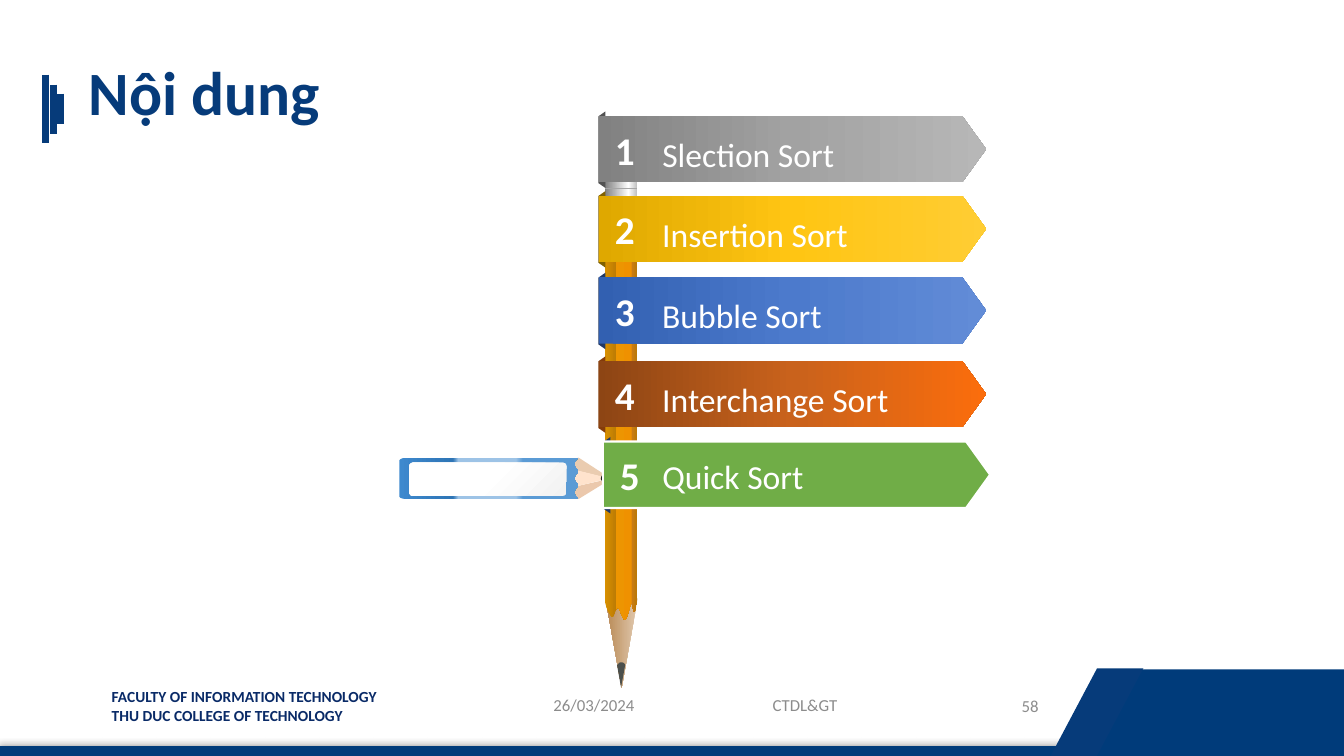
"""Build a contents slide with five sorting topics hung on a pencil."""
from dataclasses import dataclass

from lxml.etree import SubElement
from pptx import Presentation
from pptx.dml.color import RGBColor
from pptx.enum.shapes import MSO_CONNECTOR as Link, MSO_SHAPE as Kind
from pptx.enum.text import MSO_ANCHOR as Anchor, MSO_AUTO_SIZE as Auto, PP_ALIGN as Align
from pptx.oxml.ns import qn
from pptx.util import Inches, Pt

NAVY, GREY, WHITE = "063B7A", "8C8C8C", "FFFFFF"
Stops = list[tuple[int, str]]
Path = list[tuple[float, ...]]


@dataclass
class Topic:
    name: str
    top: float
    width: float
    fold: str
    fill: str | Stops
    left: float = 5.94
    edge: str | None = None
    num: float = 6
    drop: float = 0.13


TOPICS = [
    Topic("Slection Sort", 1.15, 1.92, "525252", [(0, "818181"), (50, "A2A2A2"), (100, "B7B7B7")]),
    Topic("Insertion Sort", 1.94, 2.06, "806000", [(0, "DFA800"), (50, "FFC513"), (100, "FFCD33")]),
    Topic("Bubble Sort", 2.75, 1.8, "203864", [(0, "3260B1"), (50, "4C7ACC"), (100, "628CD7")]),
    Topic("Interchange Sort", 3.58, 2.47, "843C0B", [(0, "8D4514"), (50, "C9621C"), (100, "FB6D0C")]),
    Topic("Quick Sort", 4.38, 1.61, "203864", "70AD47", left=5.98, edge=WHITE, num=6.05, drop=0.09),
]

deck = Presentation()
deck.slide_width, deck.slide_height = Inches(13.33), Inches(7.5)
slide = deck.slides.add_slide(deck.slide_layouts[5])
shapes = slide.shapes


def color(code: str) -> RGBColor:
    return RGBColor.from_string(code)


def paint(shape, fill: str | Stops, angle: int = 0, edge: str | None = None, weight: float = 1) -> None:
    shape.shadow.inherit = False
    if isinstance(fill, str):
        shape.fill.solid()
        shape.fill.fore_color.rgb = color(fill)
    else:
        shape.fill.gradient()
        grad = shape._element.spPr.find(qn("a:gradFill"))
        stops = grad.find(qn("a:gsLst"))
        stops.clear()
        for pos, code in fill:
            stop = SubElement(stops, qn("a:gs"), pos=str(pos * 1000))
            SubElement(stop, qn("a:srgbClr"), val=code)
        grad.find(qn("a:lin")).set("ang", str(angle * 60000))
    if edge:
        shape.line.color.rgb = color(edge)
        shape.line.width = Pt(weight)
    else:
        shape.line.fill.background()


def draw(kind: Kind, left: float, top: float, width: float, height: float, fill: str | Stops,
         turn: int = 0, adj: float | None = None, **style):
    shape = shapes.add_shape(kind, Inches(left), Inches(top), Inches(width), Inches(height))
    shape.rotation = turn
    if adj is not None:
        shape.adjustments[0] = adj
    paint(shape, fill, **style)
    return shape


def flat(steps: Path, parts: int = 6) -> Path:
    """Turn each six-number curve step into short straight steps."""
    dots = [steps[0]]
    for step in steps[1:]:
        if len(step) == 2:
            dots.append(step)
            continue
        knots = [dots[-1], step[:2], step[2:4], step[4:]]
        for i in range(1, parts + 1):
            t = i / parts
            rates = ((1 - t) ** 3, 3 * t * (1 - t) ** 2, 3 * t * t * (1 - t), t ** 3)
            dots.append(tuple(sum(r * k[axis] for r, k in zip(rates, knots)) for axis in (0, 1)))
    return dots


def trace(steps: Path, fill: str | Stops) -> None:
    dots = [(Inches(x), Inches(y)) for x, y in flat(steps)]
    form = shapes.build_freeform(*dots[0])
    form.add_line_segments(dots[1:])
    paint(form.convert_to_shape(), fill)


def rule(x1: float, y1: float, x2: float, y2: float, code: str, weight: float) -> None:
    line = shapes.add_connector(Link.STRAIGHT, Inches(x1), Inches(y1), Inches(x2), Inches(y2))
    line.line.color.rgb = color(code)
    line.line.width = Pt(weight)
    SubElement(line._element.spPr, qn("a:effectLst"))


def write(box, text: str, left: float, top: float, width: float, height: float, size: float, code: str,
          bold: bool = False, align: Align = Align.LEFT, anchor: Anchor = Anchor.TOP,
          wrap: bool = True, space: float | None = None) -> None:
    box.left, box.top, box.width, box.height = map(Inches, (left, top, width, height))
    frame = box.text_frame
    frame.text = text
    frame.word_wrap = wrap
    frame.auto_size = Auto.NONE
    frame.vertical_anchor = anchor
    for para in frame.paragraphs:
        para.alignment = align
        para.line_spacing = space
        font = para.runs[0].font
        font.name, font.size, font.bold = "Calibri", Pt(size), bold
        font.color.rgb = color(code)


def label(text: str, *place: float, **style) -> None:
    write(shapes.add_textbox(0, 0, 0, 0), text, *place, **style)


def frame_page() -> None:
    label("FACULTY OF INFORMATION TECHNOLOGY\nTHU DUC COLLEGE OF TECHNOLOGY",
          1.01, 6.77, 3.06, 0.47, size=11, code="092A67", bold=True)
    base = draw(Kind.RECTANGLE, 0, 7.41, 13.34, 0.08, "003B7A", edge="003B7A")
    glow = SubElement(base._element.spPr.find(qn("a:effectLst")), qn("a:outerShdw"),
                      blurRad=str(Pt(4)), dist=str(Pt(2)), dir=str(270 * 60000))
    tint = SubElement(glow, qn("a:srgbClr"), val="000000")
    SubElement(tint, qn("a:alpha"), val="40000")
    draw(Kind.RECTANGLE, 10.92, 6.64, 2.41, 0.86, "003B7A")
    draw(Kind.PARALLELOGRAM, 10.42, 6.63, 0.92, 0.87, NAVY, adj=0.53)
    for x, top, end in ((0.45, 0.74, 1.42), (0.53, 0.84, 1.33), (0.6, 0.93, 1.23)):
        rule(x, top, x, end, NAVY, 4.5)
    write(shapes.title, "Nội dung", 0.78, 0.42, 2.68, 1.06, size=44, code=NAVY, bold=True,
          anchor=Anchor.MIDDLE, space=0.9)
    for text, left, top, width, align in (("26/03/2024", 5.39, 6.79, 1.34, Align.LEFT),
                                          ("CTDL&GT", 6.96, 6.79, 2.05, Align.CENTER),
                                          ("58", 9.24, 6.8, 1.16, Align.RIGHT)):
        label(text, left, top, width, 0.4, size=12, code=GREY, align=align, anchor=Anchor.MIDDLE)


def draw_marker() -> None:
    """Draw the small blue pencil that points at the current topic."""
    trace([(6.05, 4.75), (5.65, 4.65), (5.7, 4.55), (5.74, 4.54), (6, 4.71)], "EACCB0")
    trace([(6.05, 4.75), (5.65, 4.84), (5.7, 4.94), (5.74, 4.95), (6, 4.79)], "EBC8AC")
    draw(Kind.ISOSCELES_TRIANGLE, 5.77, 4.56, 0.18, 0.37, "FFE3CD", turn=90)
    body: Path = [(4.03, 4.95), (3.99, 4.95, 3.96, 4.94, 3.96, 4.92), (3.96, 4.57),
                  (3.96, 4.56, 3.99, 4.54, 4.03, 4.54)]
    for y in (4.54, 4.68, 4.82):
        body += [(5.74, y), (5.73, y + 0.01), (5.71, y + 0.02, 5.7, y + 0.04, 5.7, y + 0.07),
                 (5.7, y + 0.09, 5.71, y + 0.11, 5.73, y + 0.12), (5.74, y + 0.13)]
    trace(body, [(0, "3E89CE"), (30, "2E75B6"), (33, "9DC3E6"), (65, "9DC3E6"),
                 (69, "5B9BD5"), (100, "5B9BD5")])
    draw(Kind.ROUNDED_RECTANGLE, 4.06, 4.59, 1.56, 0.33,
         [(0, "F2F2F2"), (50, "FFFFFF"), (100, "FDFDFD")], adj=0.11, angle=225)
    trace([(6.05, 4.75), (6, 4.79), (5.98, 4.78), (5.97, 4.77, 5.96, 4.76, 5.96, 4.75),
           (5.96, 4.72, 5.98, 4.7, 6, 4.71)], "000000")


def draw_post() -> None:
    """Draw the upright pencil behind the banners."""
    draw(Kind.PENTAGON, 5.72, 6.22, 0.89, 0.32, [(0, "E1C9AF"), (100, "B88954")],
         turn=90, adj=2.82, angle=90)
    trace([(6, 2.02), (6.32, 2.02), (6.32, 5.93), (6.32, 6.02, 6.3, 6.05, 6.29, 6.07),
           (6.27, 6.04, 6.28, 5.98, 6.26, 5.99), (6.25, 6, 6.22, 6.14, 6.2, 6.15),
           (6.17, 6.15, 6.15, 6.03, 6.13, 6.03), (6.1, 6.02, 6.09, 6.13, 6.07, 6.12),
           (6.04, 6.09, 6.01, 6.02, 6, 5.97)],
          [(0, "D99100"), (33, "BD7C04"), (34, "ED9501"), (82, "EF9100"), (83, "C87B14"), (100, "BC7908")])
    draw(Kind.RECTANGLE, 6, 1.37, 0.32, 0.65, [(0, "BFBFBF"), (27, "FFFFFF"), (100, "808080")], angle=180)
    draw(Kind.RECTANGLE, 6.04, 1.15, 0.25, 0.22, [(16, "B24349"), (52, "FF6E94"), (100, "BF4C73")])
    trace([(6.16, 6.57), (6.19, 6.57, 6.2, 6.59, 6.2, 6.6), (6.16, 6.82), (6.12, 6.6),
           (6.13, 6.59, 6.14, 6.57, 6.16, 6.57)], "4C504C")
    for i in range(7):
        y = 1.45 + i * 0.5 / 6
        rule(6, y, 6.32, y, "A6A6A6", 0.5)


def draw_topic(num: int, topic: Topic) -> None:
    draw(Kind.TRAPEZOID, topic.left - 0.35, topic.top + 0.3, 0.76, 0.07, topic.fold, turn=270, adj=0.7) \
        if not topic.edge else \
        draw(Kind.TRAPEZOID, 5.64, topic.top + 0.3, 0.76, 0.07, topic.fold, turn=270, adj=0.7)
    draw(Kind.PENTAGON, topic.left, topic.top, 3.84, 0.66, topic.fill, adj=0.36, edge=topic.edge, weight=1.5)
    label(str(num), topic.num, topic.top + 0.05, 0.42, 0.57, size=28, code=WHITE, bold=True, wrap=False)
    label(topic.name, 6.47, topic.top + topic.drop, topic.width, 0.5, size=24, code=WHITE, wrap=False)


def main() -> None:
    frame_page()
    draw_marker()
    draw_post()
    for num, topic in enumerate(TOPICS, 1):
        draw_topic(num, topic)
    deck.save("out.pptx")


if __name__ == "__main__":
    main()
